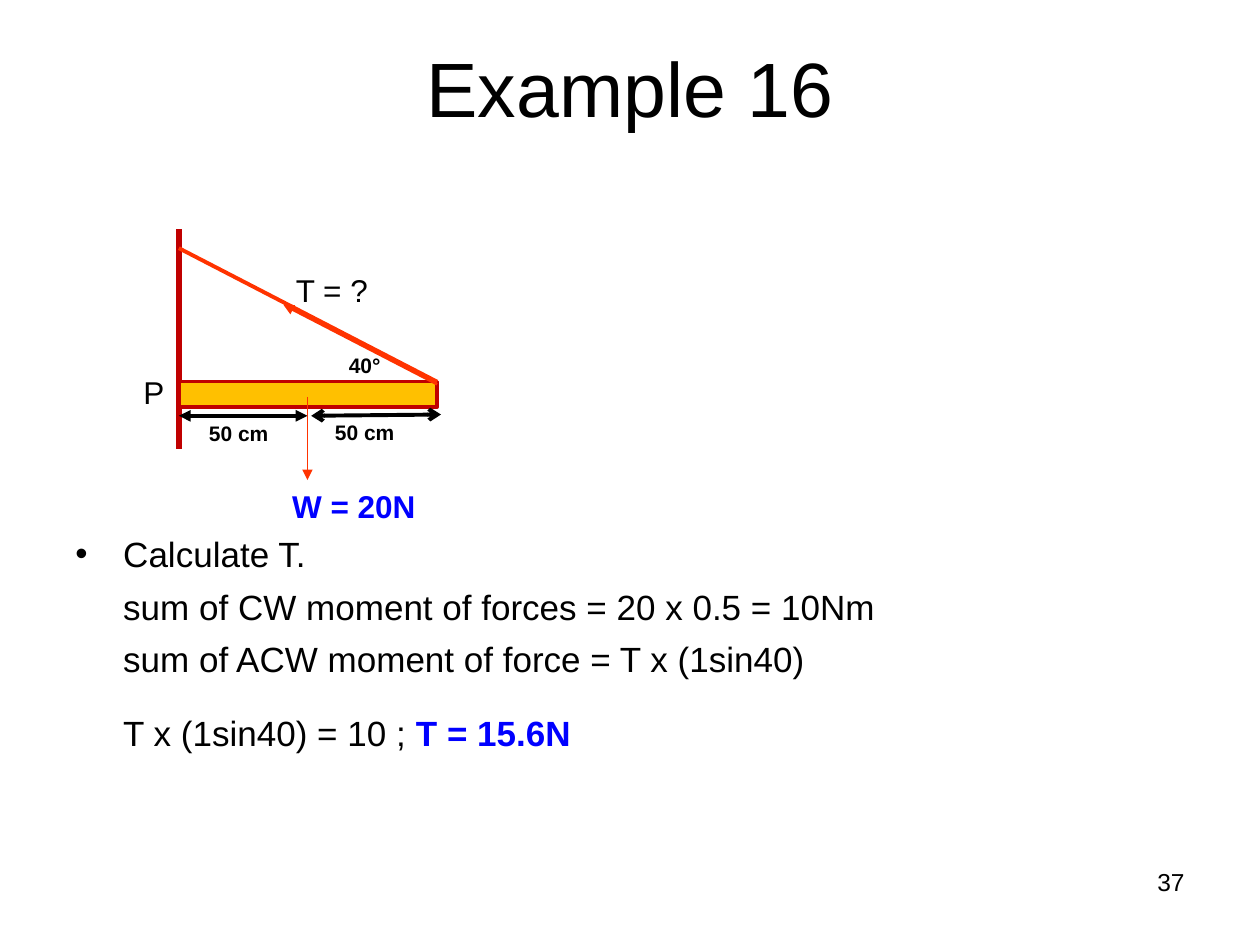
import pptx
import pptx.dml.color
import pptx.enum.shapes
import pptx.enum.text
import pptx.oxml
import pptx.oxml.ns
import pptx.util
from lxml import etree

Inches = pptx.util.Inches
Pt = pptx.util.Pt
RGBColor = pptx.dml.color.RGBColor
ALIGN = pptx.enum.text.PP_ALIGN
ANCHOR = pptx.enum.text.MSO_ANCHOR
qn = pptx.oxml.ns.qn

BLACK = RGBColor(0x00, 0x00, 0x00)
BLUE = RGBColor(0x00, 0x00, 0xFF)
DARK_RED = RGBColor(0xC0, 0x00, 0x00)
ORANGE_RED = RGBColor(0xFF, 0x33, 0x00)
AMBER = RGBColor(0xFF, 0xC0, 0x00)
FONT = "Arial"

TITLE = "Example 16"
PAGE_NUMBER = "37"

# Each step: runs of (text, format), space before in points, bulleted
STEPS = [
    ([("Calculate T.", {})], 0, True),
    ([("sum of CW moment of forces = 20 x 0.5 = 10Nm", {})], 6, False),
    ([("sum of ACW moment of force = T x (1sin40)", {})], 6, False),
    ([("T x (1sin40) = 10 ; ", {}),
      ("T = 15.6N", {"color": BLUE, "bold": True})], 18, False),
]

# Diagram geometry in inches
WALL_X, BEAM_TOP, BEAM_LENGTH, BEAM_DEPTH = 1.42, 3.03, 2.05, 0.2
BEAM_END = WALL_X + BEAM_LENGTH
MIDDLE = 2.44
DIMENSION_Y = 3.3

# Start, end, colour, width in points, arrowhead at start, arrowhead at end
WALL = ((WALL_X, 1.82), (WALL_X, 3.56), DARK_RED, 3, None, None)
FORCES_AND_DIMENSIONS = [
    ((MIDDLE, DIMENSION_Y), (WALL_X, DIMENSION_Y), BLACK, 2.25, "triangle", "triangle"),
    ((BEAM_END, BEAM_TOP), (WALL_X, 1.97), ORANGE_RED, 2.25, None, None),
    ((BEAM_END, 3.05), (2.25, 2.42), ORANGE_RED, 1.5, None, "triangle"),
    ((3.5, 3.29), (2.47, DIMENSION_Y), BLACK, 2.25, "arrow", "arrow"),
    ((MIDDLE, 3.15), (MIDDLE, 3.81), ORANGE_RED, 0.75, None, "triangle"),
]

# Text, (left, top, width, height), format
LABELS = [
    ("W = 20N", (2.22, 3.82, 1.18, 0.4), {"size": 18, "color": BLUE, "bold": True}),
    ("P", (1.04, 2.91, 0.36, 0.4), {"size": 18}),
    ("50 cm", (1.56, 3.29, 0.67, 0.3), {"size": 12, "bold": True}),
    ("50 cm", (2.56, 3.28, 0.67, 0.3), {"size": 12, "bold": True}),
    ("T = ?", (2.25, 2.1, 0.77, 0.4), {"size": 18}),
    ("40°", (2.67, 2.75, 0.45, 0.3), {"size": 12, "bold": True}),
]


def write(paragraph, text, size=20, color=BLACK, bold=False, align=ALIGN.LEFT):
    paragraph.alignment = align
    run = paragraph.add_run()
    run.text = text
    run.font.name = FONT
    run.font.size = Pt(size)
    run.font.bold = bold
    run.font.color.rgb = color


def add_frame(slide, box, wrap=False):
    frame = slide.shapes.add_textbox(*map(Inches, box)).text_frame
    frame.word_wrap = wrap
    return frame


def add_line(slide, start, end, color, width, head, tail):
    connector = slide.shapes.add_connector(
        pptx.enum.shapes.MSO_CONNECTOR.STRAIGHT, *map(Inches, start + end))
    connector.line.color.rgb = color
    connector.line.width = Pt(width)
    outline = connector.line._get_or_add_ln()
    for tag, arrowhead in (("a:headEnd", head), ("a:tailEnd", tail)):
        if arrowhead:
            etree.SubElement(outline, qn(tag), type=arrowhead)
    etree.SubElement(connector._element.spPr, qn("a:effectLst"))


def add_steps(slide):
    frame = add_frame(slide, (0.5, 4.18, 9, 2.1), wrap=True)
    for index, (runs, space_before, bulleted) in enumerate(STEPS):
        step = frame.paragraphs[0] if index == 0 else frame.add_paragraph()
        step.space_before = Pt(space_before)
        properties = step._p.get_or_add_pPr()
        properties.set("marL", str(Inches(0.38)))
        if bulleted:
            properties.set("indent", str(Inches(-0.38)))
            etree.SubElement(properties, qn("a:buFont"), typeface=FONT)
            etree.SubElement(properties, qn("a:buChar"), char="•")
        for text, style in runs:
            write(step, text, **style)


def add_beam(slide):
    beam = slide.shapes.add_shape(
        pptx.enum.shapes.MSO_SHAPE.RECTANGLE,
        *map(Inches, (WALL_X, BEAM_TOP, BEAM_LENGTH, BEAM_DEPTH)))
    beam.shadow.inherit = False
    beam.fill.solid()
    beam.fill.fore_color.rgb = AMBER
    beam.line.color.rgb = DARK_RED
    beam.line.width = Pt(2)


def main():
    deck = pptx.Presentation()
    deck.slide_width, deck.slide_height = Inches(10), Inches(7.5)
    slide = deck.slides.add_slide(deck.slide_layouts[5])

    title = slide.shapes.title
    title.left, title.top, title.width, title.height = map(Inches, (0.5, 0.3, 9, 0.78))
    title.text_frame.vertical_anchor = ANCHOR.MIDDLE
    write(title.text_frame.paragraphs[0], TITLE, size=44, align=ALIGN.CENTER)

    add_steps(slide)
    add_line(slide, *WALL)
    add_beam(slide)
    for line in FORCES_AND_DIMENSIONS:
        add_line(slide, *line)
    for text, box, style in LABELS:
        write(add_frame(slide, box).paragraphs[0], text, **style)

    page = add_frame(slide, (7.17, 6.83, 2.33, 0.52), wrap=True)
    write(page.paragraphs[0], PAGE_NUMBER, size=14, align=ALIGN.RIGHT)
    deck.save("out.pptx")


if __name__ == "__main__":
    main()
